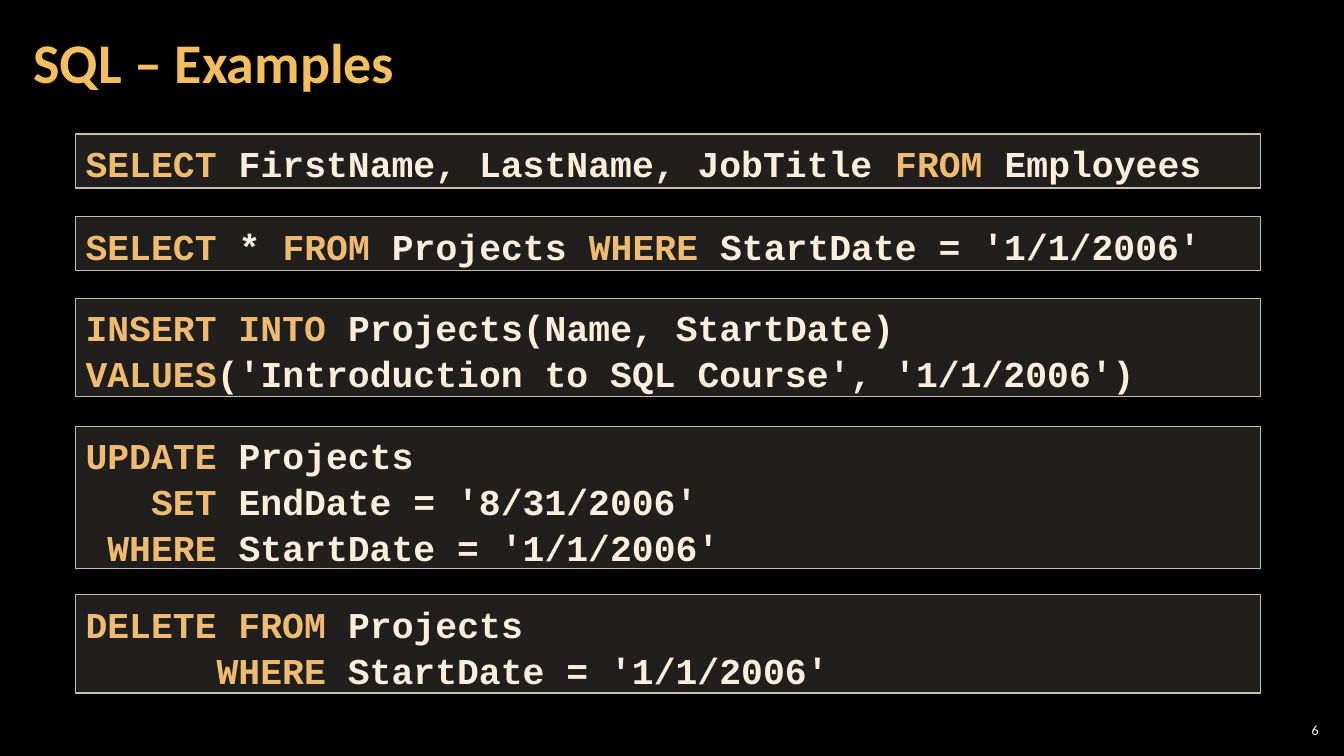
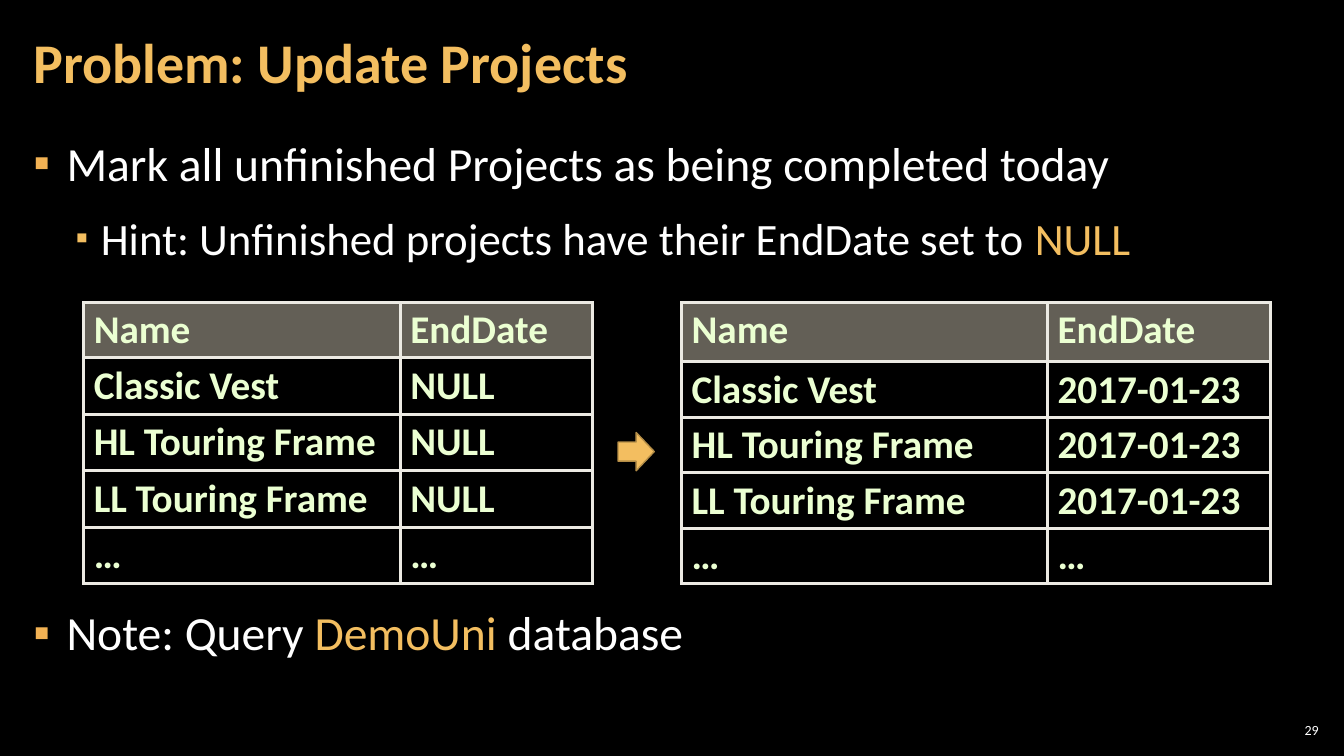
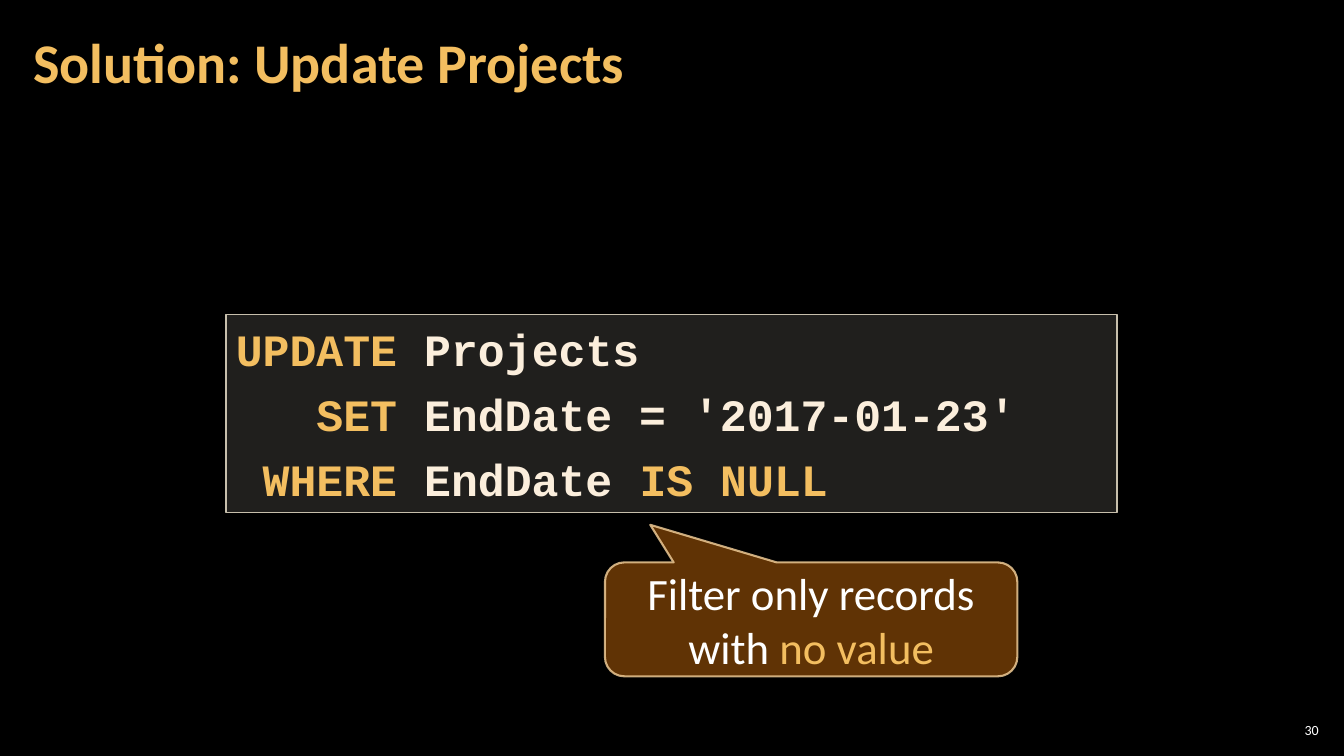
from collections.abc import Sequence
from dataclasses import dataclass

from lxml import etree
from pptx import Presentation
from pptx.dml.color import RGBColor
from pptx.enum import shapes, text
from pptx.oxml.ns import qn
from pptx.util import Inches, Pt


@dataclass(frozen=True)
class Theme:
    background: str = "000000"
    white: str = "FFFFFF"
    accent: str = "F3BE60"
    bullet: str = "F2B254"
    keyword: str = "EFBB72"
    code: str = "FBEEDC"
    code_fill: str = "D9D5C7"
    sand: str = "C7BFAC"
    cell_text: str = "EBFFD2"
    cell_border: str = "ECEAE3"
    arrow_line: str = "B48D47"
    callout_fill: str = "663606"
    callout_line: str = "F8D49E"
    sans: str = "Calibri"
    mono: str = "Courier New"
    title_size: int = 40
    body_size: int = 34
    large_size: int = 32
    table_size: int = 28
    code_size: int = 26
    number_size: int = 10


THEME = Theme()
MONO_ADVANCE = 0.6  # width of a monospaced letter, in ems


@dataclass(frozen=True)
class TextStyle:
    size: int
    color: str
    font: str = THEME.sans
    bold: bool = False
    highlight: str = THEME.accent
    align: text.PP_ALIGN = text.PP_ALIGN.LEFT


@dataclass(frozen=True)
class CodeBox:
    top: float
    lines: Sequence[str]
    left: float = 0.75
    width: float = 11.75
    size: int = THEME.code_size
    keyword: str = THEME.keyword
    space_before: int = 0

    @property
    def height(self) -> float:
        line = self.size * 1.21 + self.space_before
        return 0.1 + len(self.lines) * line / 72


@dataclass(frozen=True)
class Bullet:
    text: str
    level: int = 0
    space_before: int = 6


@dataclass(frozen=True)
class BulletLevel:
    size: int
    margin: float
    hanging: float
    color: str
    percent: int


@dataclass(frozen=True)
class ProjectTable:
    left: float
    columns: Sequence[float]
    header_height: float
    row_height: float
    end_date: str


BULLET_LEVELS = (
    BulletLevel(THEME.body_size, 0.33, 0.33, THEME.bullet, 100),
    BulletLevel(THEME.large_size, 0.67, 0.25, THEME.accent, 80),
)
TITLE = TextStyle(THEME.title_size, THEME.accent, bold=True)
NUMBER = TextStyle(THEME.number_size, THEME.white, align=text.PP_ALIGN.RIGHT)
CELL = TextStyle(THEME.table_size, THEME.cell_text, bold=True)
CALLOUT = TextStyle(THEME.large_size, THEME.white, align=text.PP_ALIGN.CENTER)

EXAMPLES = (
    CodeBox(1.33, ["|SELECT| FirstName, LastName, JobTitle |FROM| Employees"]),
    CodeBox(2.15, ["|SELECT| * |FROM| Projects |WHERE| StartDate = '1/1/2006'"]),
    CodeBox(2.96, ["|INSERT INTO| Projects(Name, StartDate)",
                   "|VALUES|('Introduction to SQL Course', '1/1/2006')"]),
    CodeBox(4.23, ["|UPDATE| Projects",
                   "   |SET| EndDate = '8/31/2006'",
                   " |WHERE| StartDate = '1/1/2006'"]),
    CodeBox(5.9, ["|DELETE FROM| Projects",
                  "      |WHERE| StartDate = '1/1/2006'"]),
)
SOLUTION = CodeBox(3.12, ["|UPDATE| Projects",
                          "   |SET| EndDate = '2017-01-23'",
                          " |WHERE| EndDate |IS NULL|"],
                   left=2.24, width=8.84, size=THEME.large_size,
                   keyword=THEME.accent, space_before=6)
TASK = (
    Bullet("Mark all unfinished Projects as being completed today"),
    Bullet("Hint: Unfinished projects have their EndDate set to |NULL|", level=1),
    Bullet("Note: Query |DemoUni| database", space_before=234),
)
PROJECTS = ("Classic Vest", "HL Touring Frame", "LL Touring Frame")
TABLES = (
    ProjectTable(0.83, (3.14, 1.91), 0.55, 0.56, "NULL"),
    ProjectTable(6.76, (3.63, 2.21), 0.59, 0.55, "2017-01-23"),
)


def rgb(color: str) -> RGBColor:
    return RGBColor.from_string(color)


def box(left: float, top: float, width: float, height: float) -> tuple:
    return Inches(left), Inches(top), Inches(width), Inches(height)


def place(item, *bounds: float) -> None:
    item.left, item.top, item.width, item.height = box(*bounds)


def paint(fill, color: str) -> None:
    fill.solid()
    fill.fore_color.rgb = rgb(color)


def set_opacity(parent, percent: int) -> None:
    """Make the solid fill held by an XML element translucent."""
    color = parent.find(qn("a:solidFill"))[0]
    etree.SubElement(color, qn("a:alpha"), val=str(percent * 1000))


def set_insets(frame, side: float, edge: float) -> None:
    frame.margin_left = frame.margin_right = Inches(side)
    frame.margin_top = frame.margin_bottom = Inches(edge)


def write(paragraph, marked: str, style: TextStyle) -> None:
    """Write text in which |bars| enclose the highlighted parts."""
    paragraph.alignment = style.align
    font = paragraph.font
    font.name, font.size, font.bold = style.font, Pt(style.size), style.bold
    font.color.rgb = rgb(style.color)
    for position, part in enumerate(marked.split("|")):
        if part:
            run = paragraph.add_run()
            run.text = part
            if position % 2:
                run.font.color.rgb = rgb(style.highlight)


def paragraphs(frame, count: int) -> list:
    return [frame.paragraphs[0]] + [frame.add_paragraph() for _ in range(count - 1)]


def style_master(prs) -> None:
    master = prs.slide_master
    paint(master.background.fill, THEME.background)
    title, body = master.placeholders[0], master.placeholders[1]
    place(title, 0.21, 0.04, 10.47, 1.21)
    place(body, 0.21, 1.26, 12.91, 6.09)
    for holder in (title, body):
        set_insets(holder.text_frame, 0.12, 0.04)
        holder.text_frame.auto_size = text.MSO_AUTO_SIZE.NONE


def add_slide(prs, layout: str, title: str, number: int):
    slide = prs.slides.add_slide(prs.slide_layouts.get_by_name(layout))
    heading = slide.shapes.title.text_frame.paragraphs[0]
    heading.line_spacing = 0.9
    write(heading, title, TITLE)
    frame = slide.shapes.add_textbox(*box(12.65, 7.14, 0.47, 0.21)).text_frame
    frame.word_wrap = True
    frame.vertical_anchor = text.MSO_ANCHOR.MIDDLE
    set_insets(frame, 0.04, 0.04)
    write(frame.paragraphs[0], str(number), NUMBER)
    return slide


def add_panel(slide, kind, bounds: tuple, fill: str, line: str, width: float = 1):
    panel = slide.shapes.add_shape(kind, *box(*bounds))
    panel.shadow.inherit = False
    paint(panel.fill, fill)
    panel.line.color.rgb = rgb(line)
    panel.line.width = Pt(width)
    return panel


def add_code(slide, code: CodeBox) -> None:
    bounds = (code.left, code.top, code.width, code.height)
    panel = add_panel(slide, shapes.MSO_SHAPE.RECTANGLE, bounds,
                      THEME.code_fill, THEME.sand)
    set_opacity(panel._element.spPr, 15)
    frame = panel.text_frame
    frame.vertical_anchor = text.MSO_ANCHOR.TOP
    style = TextStyle(code.size, THEME.code, THEME.mono, True, code.keyword)
    for paragraph, line in zip(paragraphs(frame, len(code.lines)), code.lines):
        statement = line.lstrip()
        indent = (len(line) - len(statement)) * MONO_ADVANCE * code.size
        paragraph._p.get_or_add_pPr().set("marL", str(Pt(indent)))
        paragraph.line_spacing = 1.05
        paragraph.space_before = Pt(code.space_before)
        write(paragraph, statement, style)


def set_bullet(paragraph, level: BulletLevel) -> None:
    props = paragraph._p.get_or_add_pPr()
    props.set("marL", str(Inches(level.margin)))
    props.set("indent", str(-Inches(level.hanging)))
    color = etree.SubElement(props, qn("a:buClr"))
    etree.SubElement(color, qn("a:srgbClr"), val=level.color)
    etree.SubElement(props, qn("a:buSzPct"), val=str(level.percent * 1000))
    etree.SubElement(props, qn("a:buChar"), char="▪")


def fill_body(slide, bullets: Sequence[Bullet]) -> None:
    frame = slide.placeholders[1].text_frame
    for paragraph, bullet in zip(paragraphs(frame, len(bullets)), bullets):
        level = BULLET_LEVELS[bullet.level]
        paragraph.level = bullet.level
        paragraph.line_spacing = 1.05
        paragraph.space_before = Pt(bullet.space_before)
        paragraph.space_after = Pt(6)
        set_bullet(paragraph, level)
        write(paragraph, bullet.text, TextStyle(level.size, THEME.white))


def set_borders(cell) -> None:
    props = cell._tc.get_or_add_tcPr()
    for index, side in enumerate(("lnL", "lnR", "lnT", "lnB")):
        line = etree.Element(qn(f"a:{side}"), w=str(Pt(2.25)))
        fill = etree.SubElement(line, qn("a:solidFill"))
        etree.SubElement(fill, qn("a:srgbClr"), val=THEME.cell_border)
        props.insert(index, line)


def add_project_table(slide, spec: ProjectTable) -> None:
    rows = [("Name", "EndDate"), *((name, spec.end_date) for name in PROJECTS),
            ("…", "…")]
    height = spec.header_height + spec.row_height * (len(rows) - 1)
    bounds = box(spec.left, 3, sum(spec.columns), height)
    table = slide.shapes.add_table(len(rows), len(spec.columns), *bounds).table
    table.horz_banding = False
    for column, width in zip(table.columns, spec.columns):
        column.width = Inches(width)
    for index, values in enumerate(rows):
        is_header = index == 0
        table.rows[index].height = Inches(
            spec.header_height if is_header else spec.row_height)
        for cell, value in zip(table.rows[index].cells, values):
            if is_header:
                paint(cell.fill, THEME.sand)
                set_opacity(cell._tc.tcPr, 50)
            else:
                cell.fill.background()
            set_borders(cell)
            paragraph = cell.text_frame.paragraphs[0]
            paragraph.line_spacing = 0.95
            write(paragraph, value, CELL)


def add_callout(slide, lines: Sequence[str]) -> None:
    callout = add_panel(slide, shapes.MSO_SHAPE.ROUNDED_RECTANGULAR_CALLOUT,
                        (6, 5.58, 4.09, 1.13), THEME.callout_fill,
                        THEME.callout_line, 1.5)
    for index, value in enumerate((-0.39, -0.83, 0.17)):
        callout.adjustments[index] = value
    props = callout._element.spPr
    set_opacity(props, 95)
    set_opacity(props.find(qn("a:ln")), 80)
    frame = callout.text_frame
    frame.vertical_anchor = text.MSO_ANCHOR.MIDDLE
    for paragraph, line in zip(paragraphs(frame, len(lines)), lines):
        write(paragraph, line, CALLOUT)


def main() -> None:
    prs = Presentation()
    prs.slide_width, prs.slide_height = Inches(13.33), Inches(7.5)
    style_master(prs)

    examples = add_slide(prs, "Title Only", "SQL – Examples", 6)
    for code in EXAMPLES:
        add_code(examples, code)

    problem = add_slide(prs, "Title and Content", "Problem: Update Projects", 29)
    fill_body(problem, TASK)
    for spec in TABLES:
        add_project_table(problem, spec)
    add_panel(problem, shapes.MSO_SHAPE.RIGHT_ARROW, (6.13, 4.29, 0.36, 0.38),
              THEME.accent, THEME.arrow_line)

    solution = add_slide(prs, "Title Only", "Solution: Update Projects", 30)
    add_code(solution, SOLUTION)
    add_callout(solution, ["Filter only records", "with |no value|"])

    prs.save("out.pptx")


if __name__ == "__main__":
    main()
